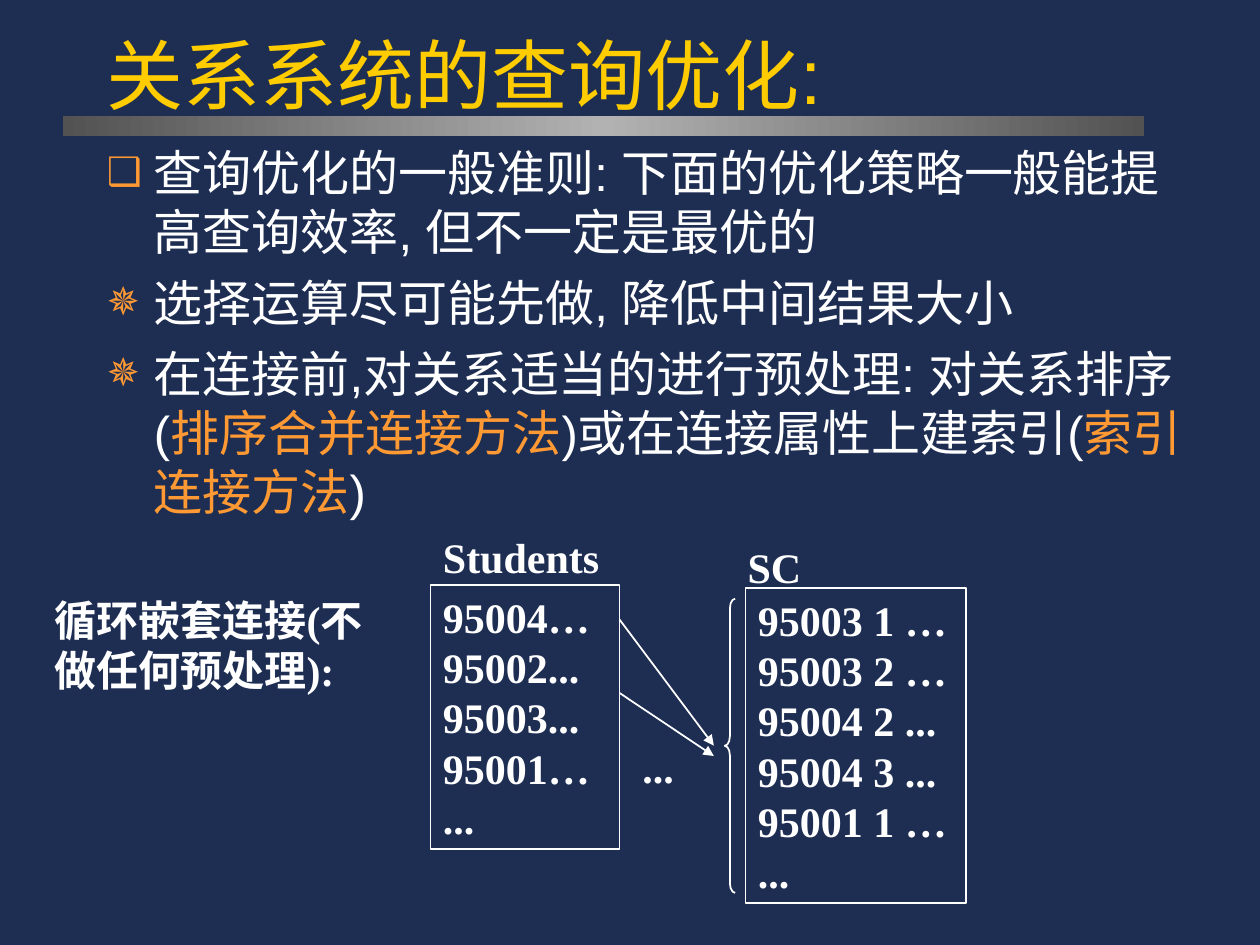
from lxml.etree import SubElement
from pptx import Presentation
from pptx.dml.color import RGBColor
from pptx.enum.shapes import MSO_CONNECTOR, MSO_SHAPE
from pptx.enum.text import MSO_ANCHOR, MSO_AUTO_SIZE, PP_ALIGN
from pptx.oxml import parse_xml
from pptx.oxml.ns import nsdecls, qn
from pptx.util import Cm, Pt

COLORS = {
    "background": "1E2E53",
    "title": "FFCC00",
    "text": "FFFFFF",
    "accent": "FF9933",
    "bar_edge": "525252",
    "bar_middle": "B2B2B2",
}
LINE_HEIGHT = 1.2


def color(name):
    """Return the named colour."""
    return RGBColor.from_string(COLORS[name])


def place(shape, left, top, width, height):
    """Move and size a shape, in centimetres."""
    shape.left, shape.top = Cm(left), Cm(top)
    shape.width, shape.height = Cm(width), Cm(height)


def write_text(shape, paragraphs, size=24, font="Times New Roman", bold=True,
               fill="text", anchor=MSO_ANCHOR.TOP, before=0):
    """Write paragraphs whose runs are strings or (string, colour) pairs."""
    frame = shape.text_frame
    frame.word_wrap = True
    frame.auto_size = MSO_AUTO_SIZE.NONE
    frame.vertical_anchor = anchor
    for index, runs in enumerate(paragraphs):
        paragraph = frame.add_paragraph() if index else frame.paragraphs[0]
        paragraph.alignment = PP_ALIGN.LEFT
        paragraph.line_spacing = Pt(size * LINE_HEIGHT)
        paragraph.space_before = Pt(before)
        for item in [runs] if isinstance(runs, str) else runs:
            text, run_fill = (item, fill) if isinstance(item, str) else item
            run = paragraph.add_run()
            run.text = text
            run.font.size = Pt(size)
            run.font.name = font
            run.font.bold = bold
            run.font.color.rgb = color(run_fill)


def add_bullet(paragraph, character):
    """Give a paragraph a hanging accent bullet."""
    properties = paragraph._p.get_or_add_pPr()
    properties.set("marL", str(Cm(0.95)))
    properties.set("indent", str(-Cm(0.95)))
    bullet_color = SubElement(properties, qn("a:buClr"))
    SubElement(bullet_color, qn("a:srgbClr"), val=COLORS["accent"])
    SubElement(properties, qn("a:buSzPct"), val="80000")
    SubElement(properties, qn("a:buChar"), char=character)


def add_outline(slide, kind, left, top, width, height):
    """Add an unfilled shape with a thin outline."""
    shape = slide.shapes.add_shape(kind, Cm(left), Cm(top), Cm(width), Cm(height))
    shape.shadow.inherit = False
    shape.fill.background()
    shape.line.color.rgb = color("text")
    shape.line.width = Pt(1)
    return shape


def add_label(slide, text, left, top, width, height=1.27):
    """Add a bold text box."""
    label = slide.shapes.add_textbox(Cm(left), Cm(top), Cm(width), Cm(height))
    write_text(label, [text])


def add_arrow(slide, start, end):
    """Add a thin arrow between two points."""
    points = [Cm(value) for value in (*start, *end)]
    arrow = slide.shapes.add_connector(MSO_CONNECTOR.STRAIGHT, *points)
    arrow.line.color.rgb = color("text")
    arrow.line.width = Pt(1)
    SubElement(arrow.line._get_or_add_ln(), qn("a:tailEnd"), type="triangle")
    SubElement(arrow._element.spPr, qn("a:effectLst"))


def add_gradient_bar(slide, left, top, width, height):
    """Add the bar under the title, lightest in its middle."""
    bar = add_outline(slide, MSO_SHAPE.RECTANGLE, left, top, width, height)
    bar.line.fill.background()
    stops = "".join(
        f'<a:gs pos="{position}"><a:srgbClr val="{COLORS[name]}"/></a:gs>'
        for position, name in ((0, "bar_edge"), (50000, "bar_middle"), (100000, "bar_edge"))
    )
    properties = bar._element.spPr
    gradient = parse_xml(
        f'<a:gradFill {nsdecls("a")} rotWithShape="1"><a:gsLst>{stops}</a:gsLst>'
        '<a:lin ang="10800000" scaled="1"/></a:gradFill>'
    )
    properties.replace(properties.find(qn("a:noFill")), gradient)


def add_title(slide):
    """Fill the title placeholder."""
    title = slide.shapes.title
    place(title, 1.9, 0.21, 21.59, 2.33)
    write_text(title, ["关系系统的查询优化:"], size=44, font="Arial", bold=False,
               fill="title", anchor=MSO_ANCHOR.BOTTOM)


def add_rules(slide):
    """Fill the body placeholder with the optimisation rules."""
    body = slide.placeholders[1]
    place(body, 1.9, 2.75, 22.65, 7.83)
    rules = [
        "查询优化的一般准则: 下面的优化策略一般能提高查询效率, 但不一定是最优的",
        "选择运算尽可能先做, 降低中间结果大小",
        ["在连接前,对关系适当的进行预处理: 对关系排序(", ("排序合并连接方法", "accent"),
         ")或在连接属性上建索引(", ("索引连接方法", "accent"), ")"],
    ]
    write_text(body, rules, size=28, font="Arial", bold=False, before=7)
    for paragraph, character in zip(body.text_frame.paragraphs, "❑✵✵"):
        add_bullet(paragraph, character)


def add_join_diagram(slide):
    """Draw the nested loop join of the two relations."""
    students = add_outline(slide, MSO_SHAPE.RECTANGLE, 8.68, 11.79, 3.81, 5.33)
    write_text(students, ["95004…", "95002... 95003... 95001…", "..."])
    courses = add_outline(slide, MSO_SHAPE.RECTANGLE, 15.03, 11.85, 4.45, 6.35)
    write_text(courses, ["95003 1 …", "95003 2 …", "95004 2 ... 95004 3 ... 95001 1 …", "..."])
    add_label(slide, "Students", 8.68, 10.58, 4.02)
    add_label(slide, "SC", 14.82, 10.8, 4.02)
    add_label(slide, "循环嵌套连接(不做任何预处理):", 0.85, 11.85, 6.77, 3.3)
    add_label(slide, "...", 12.7, 14.82, 1.27)
    brace = add_outline(slide, MSO_SHAPE.LEFT_BRACE, 14.61, 12.07, 0.21, 5.93)
    brace.adjustments[0] = 0.92
    add_arrow(slide, (12.49, 12.49), (14.39, 15.03))
    add_arrow(slide, (12.49, 13.97), (14.39, 15.24))


def main():
    """Build and save the slide."""
    presentation = Presentation()
    presentation.slide_width, presentation.slide_height = Cm(25.4), Cm(19.05)
    slide = presentation.slides.add_slide(presentation.slide_layouts[1])
    slide.background.fill.solid()
    slide.background.fill.fore_color.rgb = color("background")
    add_title(slide)
    add_rules(slide)
    add_gradient_bar(slide, 1.27, 2.33, 21.8, 0.42)
    add_join_diagram(slide)
    presentation.save("out.pptx")


if __name__ == "__main__":
    main()
